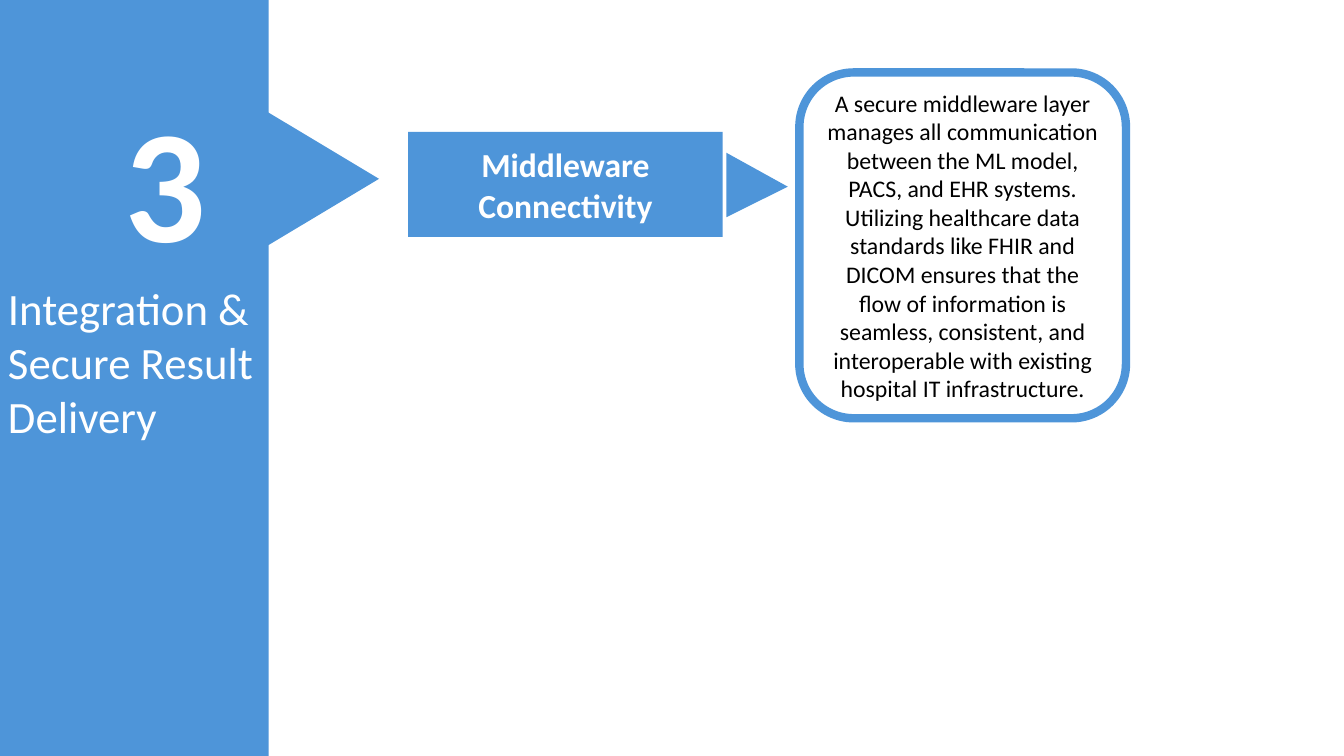
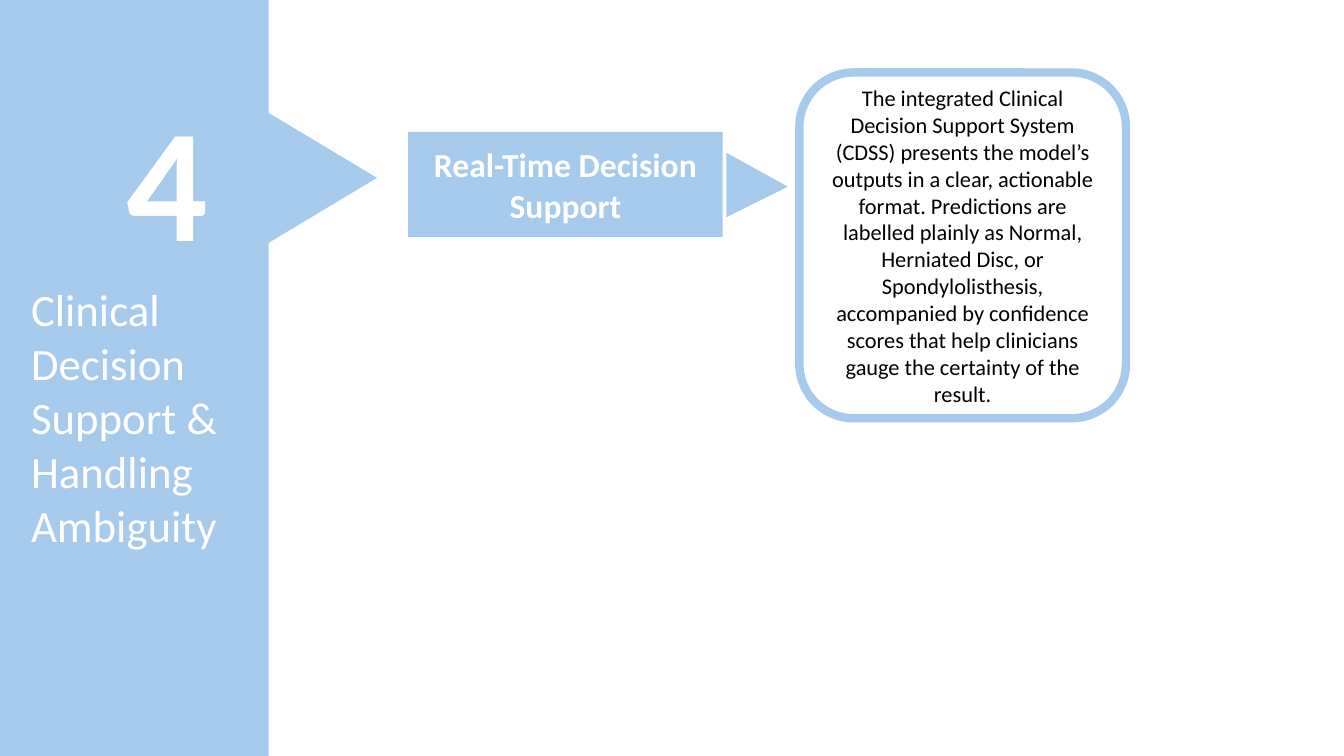
from dataclasses import dataclass

from pptx import Presentation
from pptx.dml.color import RGBColor
from pptx.enum.shapes import MSO_SHAPE
from pptx.enum.text import MSO_ANCHOR, MSO_AUTO_SIZE, PP_ALIGN
from pptx.shapes.autoshape import Shape
from pptx.shapes.shapetree import GroupShapes, SlideShapes
from pptx.util import Pt

RECTANGLE = MSO_SHAPE.RECTANGLE
ROUNDED = MSO_SHAPE.ROUNDED_RECTANGLE
TRIANGLE = MSO_SHAPE.ISOSCELES_TRIANGLE
MIDDLE = MSO_ANCHOR.MIDDLE
CENTER = PP_ALIGN.CENTER
GROW = MSO_AUTO_SIZE.SHAPE_TO_FIT_TEXT


@dataclass(frozen=True)
class Theme:
    font: str = "Calibri"
    white: RGBColor = RGBColor(0xFF, 0xFF, 0xFF)
    black: RGBColor = RGBColor(0x00, 0x00, 0x00)
    blue: RGBColor = RGBColor(0x4E, 0x95, 0xD9)
    light_blue: RGBColor = RGBColor(0xA6, 0xCA, 0xEC)
    number_size: float = 115
    title_size: float = 32
    heading_size: float = 24
    body_size: float = 17
    small_body_size: float = 16
    border: float = 6


THEME = Theme()


@dataclass(frozen=True)
class Box:
    left: float
    top: float
    width: float
    height: float

    def lengths(self) -> tuple[Pt, Pt, Pt, Pt]:
        return Pt(self.left), Pt(self.top), Pt(self.width), Pt(self.height)


SLIDE = Box(0, 0, 960, 540)
SIDEBAR = Box(0, 0, 192, SLIDE.height)
HEADING = Box(291.6, 94.3, 224.6, 74.9)
HEADING_POINTER = Box(517.7, 110.2, 46.1, 43.9)
HEADING_POINTER_APEX = 0.527
DETAIL = Box(571, 51.8, 233.3, 247)


@dataclass(frozen=True)
class Step:
    number: str
    title: str
    heading: str
    detail: str
    color: RGBColor
    detail_size: float
    pointer_box: Box
    number_box: Box
    title_box: Box


STEPS = [
    Step(
        "3",
        "Integration & Secure Result Delivery",
        "Middleware Connectivity",
        "A secure middleware layer manages all communication between the ML model, "
        "PACS, and EHR systems. Utilizing healthcare data standards like FHIR and "
        "DICOM ensures that the flow of information is seamless, consistent, and "
        "interoperable with existing hospital IT infrastructure.",
        THEME.blue,
        THEME.body_size,
        Box(182.9, 87.8, 95.8, 79.9),
        Box(82.1, 54.7, 72, 146.9),
        Box(-1.4, 197.3, 193, 123.8),
    ),
    Step(
        "4",
        "Clinical Decision Support & Handling Ambiguity",
        "Real-Time Decision Support",
        "The integrated Clinical Decision Support System (CDSS) presents the model’s "
        "outputs in a clear, actionable format. Predictions are labelled plainly as "
        "Normal, Herniated Disc, or Spondylolisthesis, accompanied by confidence "
        "scores that help clinicians gauge the certainty of the result.",
        THEME.light_blue,
        THEME.small_body_size,
        Box(181.4, 87.1, 95.8, 79.9),
        Box(83.5, 54, 72, 146.9),
        Box(15.1, 198, 162, 200.9),
    ),
]


def set_text(shape: Shape, text: str, size: float, color: RGBColor,
             bold: bool = False) -> None:
    frame = shape.text_frame
    frame.text = text
    frame.word_wrap = True
    font = frame.paragraphs[0].runs[0].font
    font.name = THEME.font
    font.size = Pt(size)
    font.bold = bold
    font.color.rgb = color


def center_text(shape: Shape) -> None:
    shape.text_frame.vertical_anchor = MIDDLE
    shape.text_frame.paragraphs[0].alignment = CENTER


def add_filled(shapes: SlideShapes | GroupShapes, kind: MSO_SHAPE, box: Box,
               fill: RGBColor) -> Shape:
    shape = shapes.add_shape(kind, *box.lengths())
    shape.shadow.inherit = False
    shape.fill.solid()
    shape.fill.fore_color.rgb = fill
    shape.line.fill.background()
    return shape


def add_pointer(shapes: GroupShapes, box: Box, fill: RGBColor,
                apex: float = 0.5) -> None:
    pointer = add_filled(shapes, TRIANGLE, box, fill)
    pointer.rotation = 90
    pointer.adjustments[0] = apex


def add_label(shapes: GroupShapes, box: Box, text: str, size: float,
              bold: bool = False) -> None:
    label = shapes.add_textbox(*box.lengths())
    set_text(label, text, size, THEME.white, bold)
    label.text_frame.auto_size = GROW


def add_sidebar(shapes: SlideShapes, step: Step) -> None:
    group = shapes.add_group_shape().shapes
    add_filled(group, RECTANGLE, SIDEBAR, step.color)
    add_pointer(group, step.pointer_box, step.color)
    add_label(group, step.number_box, step.number, THEME.number_size, bold=True)
    add_label(group, step.title_box, step.title, THEME.title_size)


def add_heading(shapes: SlideShapes, step: Step) -> None:
    group = shapes.add_group_shape().shapes
    heading = add_filled(group, RECTANGLE, HEADING, step.color)
    set_text(heading, step.heading, THEME.heading_size, THEME.white, bold=True)
    center_text(heading)
    add_pointer(group, HEADING_POINTER, step.color, HEADING_POINTER_APEX)


def add_detail(shapes: SlideShapes, step: Step) -> None:
    detail = add_filled(shapes, ROUNDED, DETAIL, THEME.white)
    detail.line.color.rgb = step.color
    detail.line.width = Pt(THEME.border)
    set_text(detail, step.detail, step.detail_size, THEME.black)
    center_text(detail)


def main() -> None:
    presentation = Presentation()
    presentation.slide_width = Pt(SLIDE.width)
    presentation.slide_height = Pt(SLIDE.height)
    blank_layout = presentation.slide_layouts[6]
    for step in STEPS:
        shapes = presentation.slides.add_slide(blank_layout).shapes
        add_sidebar(shapes, step)
        add_heading(shapes, step)
        add_detail(shapes, step)
    presentation.save("out.pptx")


if __name__ == "__main__":
    main()
